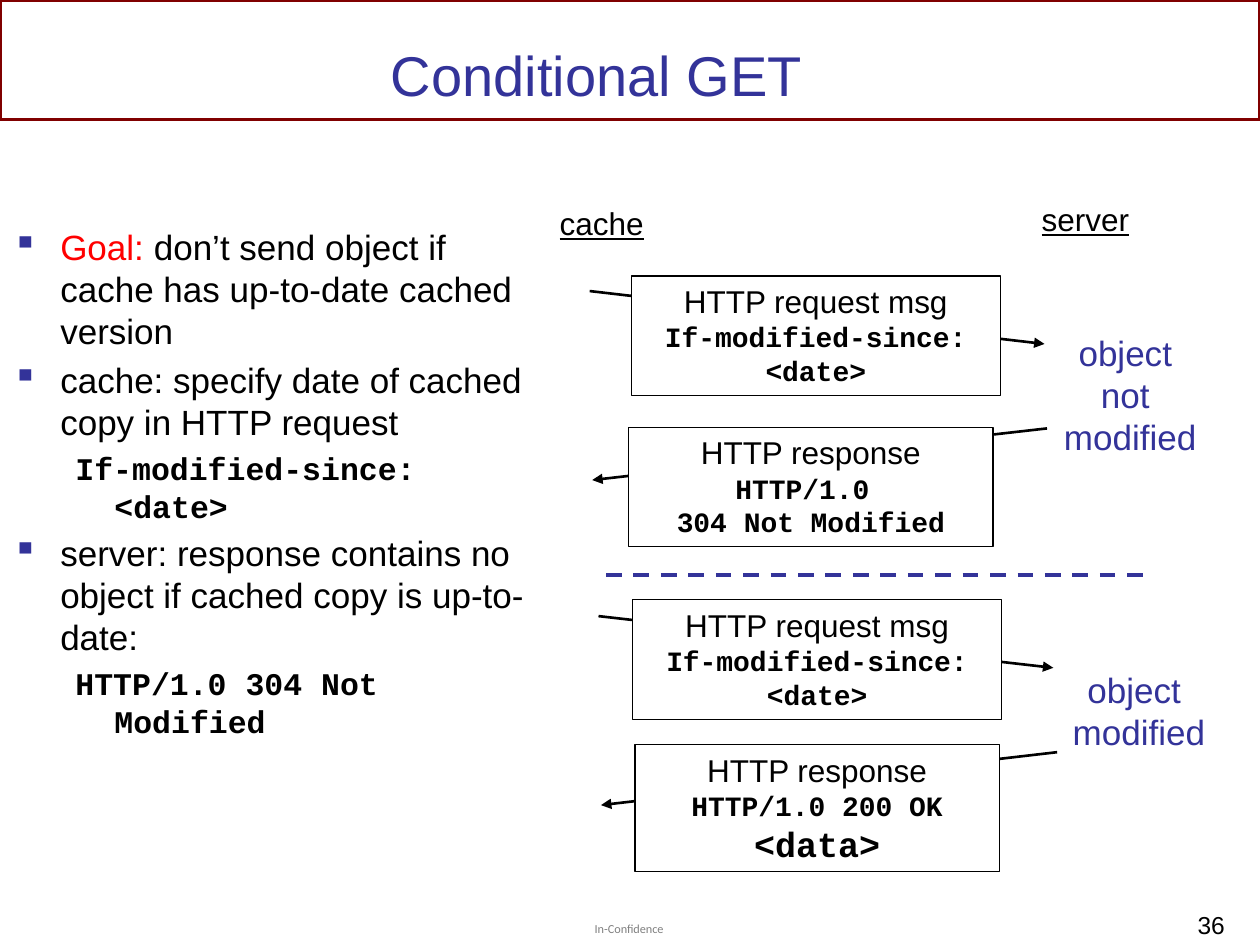
from lxml import etree
from pptx import Presentation
from pptx.dml.color import RGBColor
from pptx.enum.dml import MSO_LINE as Dash
from pptx.enum.shapes import MSO_CONNECTOR as Conn, MSO_SHAPE as Shape
from pptx.enum.text import MSO_ANCHOR as Anchor, MSO_AUTO_SIZE as Fit, PP_ALIGN as Align
from pptx.oxml.ns import qn
from pptx.util import Inches, Pt

BLACK = RGBColor(0, 0, 0)
WHITE = RGBColor(255, 255, 255)
BLUE = RGBColor(0x33, 0x33, 0x99)
RED = RGBColor(255, 0, 0)
MAROON = RGBColor(0x80, 0, 0)
CODE = dict(font="Courier New", bold=True)


def say(para, text, size=18, font="Arial", color=BLACK, bold=False, under=False):
    run = para.add_run()
    run.text = text
    face = run.font
    face.size, face.name = Pt(size), font
    face.bold, face.underline = bold, under
    face.color.rgb = color
    return run


def fill(frame, lines, align=Align.CENTER):
    """Write one paragraph for each (text, format) pair."""
    for i, (text, form) in enumerate(lines):
        para = frame.add_paragraph() if i else frame.paragraphs[0]
        para.alignment = align
        say(para, text, **form)


def label(slide, box, lines, align=Align.CENTER, wrap=False):
    frame = slide.shapes.add_textbox(*map(Inches, box)).text_frame
    frame.word_wrap = wrap
    frame.auto_size = Fit.SHAPE_TO_FIT_TEXT
    fill(frame, lines, align)
    return frame


def rect(slide, box, color, width):
    shape = slide.shapes.add_shape(Shape.RECTANGLE, *map(Inches, box))
    shape.shadow.inherit = False
    shape.fill.background()
    shape.line.color.rgb, shape.line.width = color, Pt(width)
    return shape


def rule(slide, ends, color, width, dash=None, arrow=False):
    link = slide.shapes.add_connector(Conn.STRAIGHT, *map(Inches, ends))
    line = link.line
    line.color.rgb, line.width = color, Pt(width)
    if dash:
        line.dash_style = dash
    props = link._element.spPr
    if arrow:
        etree.SubElement(props.find(qn("a:ln")), qn("a:tailEnd"), type="triangle")
    etree.SubElement(props, qn("a:effectLst"))


def header(slide, box):
    rect(slide, (0, 0, 10, 0.95), MAROON, 2)
    title = slide.shapes.title
    title.left, title.top, title.width, title.height = map(Inches, box)
    title.text_frame.vertical_anchor = Anchor.MIDDLE
    fill(title.text_frame, [("Conditional GET", dict(size=32, color=BLUE))])


def bullet(para):
    props = para._p.get_or_add_pPr()
    tint = etree.SubElement(props, qn("a:buClr"))
    etree.SubElement(tint, qn("a:srgbClr"), val=str(BLUE))
    etree.SubElement(props, qn("a:buChar"), char="▪")


def points(slide, box, items):
    """Each item is a list of runs; code items are indented, others bulleted."""
    frame = slide.shapes.add_textbox(*map(Inches, box)).text_frame
    frame.word_wrap = True
    for i, runs in enumerate(items):
        para = frame.add_paragraph() if i else frame.paragraphs[0]
        code = "font" in runs[0][1]
        props = para._p.get_or_add_pPr()
        left, hang = (0.81, -0.31) if code else (0.38, -0.38)
        props.set("marL", str(Inches(left)))
        props.set("indent", str(Inches(hang)))
        if code:
            para.level = 1
        else:
            bullet(para)
        if i:
            para.space_before = Pt(3.6 if code else 4)
        for text, form in runs:
            say(para, text, **form)


def message(slide, box, ends, lines):
    """An arrow that passes behind a framed message."""
    rule(slide, ends, BLACK, 1.5, arrow=True)
    card = rect(slide, box, BLACK, 0.75)
    card.fill.solid()
    card.fill.fore_color.rgb = WHITE
    frame = card.text_frame
    frame.word_wrap = True
    frame.vertical_anchor = Anchor.TOP
    frame.auto_size = Fit.SHAPE_TO_FIT_TEXT
    fill(frame, lines)


def diagram(slide):
    head, code = dict(size=18), dict(CODE, size=16)
    ask = [("HTTP request msg", head), ("If-modified-since: <date>", code)]
    reply = ("HTTP response", head)
    stale = [reply, ("HTTP/1.0 ", code), ("304 Not Modified", code)]
    fresh = [reply, ("HTTP/1.0 200 OK", code), ("<data>", dict(CODE, size=20))]

    # Column heads
    under = dict(under=True)
    label(slide, (4.23, 1.57, 1.09, 0.5), [("cache", under)])
    label(slide, (8.01, 1.54, 1.21, 0.5), [("server", under)])

    # Messages, with the divider between the two cases
    message(slide, (5.01, 2.19, 2.93, 0.95), (4.68, 2.31, 8.29, 2.73), ask)
    message(slide, (4.99, 3.39, 2.89, 0.95), (8.31, 3.4, 4.7, 3.81), stale)
    rule(slide, (4.81, 4.56, 9.08, 4.56), BLUE, 2.25, dash=Dash.DASH)
    message(slide, (5.02, 4.76, 2.93, 0.95), (4.75, 4.89, 8.36, 5.3), ask)
    message(slide, (5.04, 5.91, 2.89, 1.01), (8.39, 5.97, 4.77, 6.39), fresh)

    # Outcomes
    note = dict(size=20, color=BLUE)
    label(slide, (8.3, 2.58, 1.34, 1.1),
          [(text, note) for text in ("object ", "not ", "modified")])
    label(slide, (8.37, 5.26, 1.34, 0.77),
          [(text, note) for text in ("object ", "modified")])


def footer(slide):
    frame = label(slide, (4.72, 7.31, 0.57, 0.12),
                  [("In-Confidence", dict(size=7, font="Calibri"))], Align.LEFT, True)
    frame.margin_left = frame.margin_right = 0
    frame.margin_top = frame.margin_bottom = 0
    tint = next(frame._txBody.iter(qn("a:srgbClr")))
    etree.SubElement(tint, qn("a:alpha"), val="50000")
    label(slide, (7.62, 7.17, 2.2, 0.3), [("36", dict(size=14))], Align.RIGHT, True)


def main():
    deck = Presentation()
    deck.slide_width, deck.slide_height = Inches(10), Inches(7.5)
    slide = deck.slides.add_slide(deck.slide_layouts[5])
    text, code = dict(size=20), dict(CODE, size=18)
    header(slide, (0.38, -0.04, 8.71, 1.25))
    points(slide, (0, 1.74, 4.42, 4.71), [
        [("Goal:", dict(size=20, color=RED)),
         (" don’t send object if cache has up-to-date cached version", text)],
        [("cache: specify date of cached copy in HTTP request", text)],
        [("If-modified-since: <date>", code)],
        [("server: response contains no object if cached copy is up-to-date:", text)],
        [("HTTP/1.0 304 Not Modified", code)],
    ])
    diagram(slide)
    footer(slide)
    deck.save("out.pptx")


if __name__ == "__main__":
    main()
